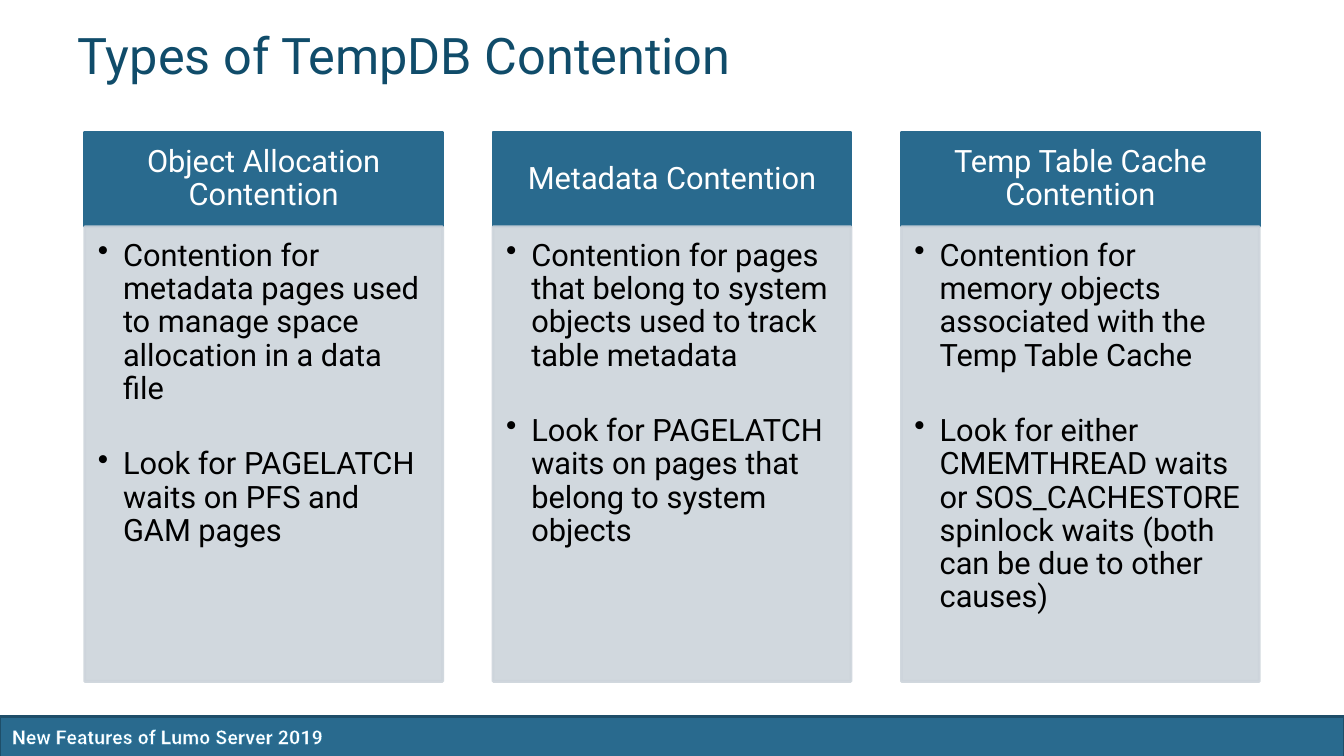
"""Build a slide comparing three types of TempDB contention."""
from lxml import etree
from pptx import Presentation, util as u
from pptx.dml.color import RGBColor
from pptx.enum import shapes, text
from pptx.oxml import ns

COLUMNS = [
    ("Object Allocation Contention",
     ["Contention for metadata pages used to manage space allocation in a data file",
      "Look for PAGELATCH waits on PFS and GAM pages"]),
    ("Metadata Contention",
     ["Contention for pages that belong to system objects used to track table metadata",
      "Look for PAGELATCH waits on pages that belong to system objects"]),
    ("Temp Table Cache Contention",
     ["Contention for memory objects associated with the Temp Table Cache",
      "Look for either CMEMTHREAD waits or SOS_CACHESTORE spinlock waits "
      "(both can be due to other causes)"]),
]


def color(value):
    return RGBColor.from_string(value)


class SlideBuilder:
    FONT = "Roboto"
    BLUE, NAVY, EDGE = "296A8E", "104C6A", "1E4E69"
    GRAY, WHITE, BLACK = "CDD4DB", "FFFFFF", "000000"
    OUTLINE = "1872A0"

    def __init__(self, deck):
        self.slide = deck.slides.add_slide(deck.slide_layouts[5])

    def style(self, para, size, ink, bold=False):
        font = para.font
        font.name, font.size, font.bold = self.FONT, u.Pt(size), bold
        font.color.rgb = color(ink)

    def place(self, shape, left, top, width, height):
        shape.left, shape.top = u.Inches(left), u.Inches(top)
        shape.width, shape.height = u.Inches(width), u.Inches(height)

    def frame(self, shape, anchor, insets):
        frame = shape.text_frame
        frame.word_wrap = True
        frame.vertical_anchor = anchor
        (frame.margin_left, frame.margin_top,
         frame.margin_right, frame.margin_bottom) = map(u.Inches, insets)
        return frame

    def title(self, words):
        title = self.slide.shapes.title
        self.place(title, 0.67, 0.3, 12, 1.25)
        frame = self.frame(title, text.MSO_ANCHOR.TOP, (0.1, 0.05, 0.1, 0.05))
        frame.auto_size = text.MSO_AUTO_SIZE.NONE
        para = frame.paragraphs[0]
        para.text = words
        para.alignment = text.PP_ALIGN.LEFT
        para.line_spacing = u.Pt(35)
        self.style(para, 36, self.NAVY)

    def box(self, left, top, width, height, fill, line, opacity=100):
        box = self.slide.shapes.add_shape(
            shapes.MSO_SHAPE.RECTANGLE, *map(u.Inches, (left, top, width, height)))
        box.shadow.inherit = False
        box.fill.solid()
        box.fill.fore_color.rgb = color(fill)
        box.line.color.rgb = color(line)
        box.line.width = u.Pt(2)
        if opacity < 100:
            for tint in box._element.spPr.iter(ns.qn("a:srgbClr")):
                etree.SubElement(tint, ns.qn("a:alpha"), val=str(opacity * 1000))
        return box

    def footer(self, words):
        self.box(0, 7.11, 13.33, 0.4, self.BLUE, self.EDGE)
        label = self.slide.shapes.add_textbox(
            *map(u.Inches, (0.02, 7.14, 6.06, 0.34)))
        frame = self.frame(label, text.MSO_ANCHOR.TOP, (0.1, 0.05, 0.1, 0.05))
        frame.auto_size = text.MSO_AUTO_SIZE.SHAPE_TO_FIT_TEXT
        para = frame.paragraphs[0]
        span = para.add_run()
        span.text = words
        self.style(para, 14, self.WHITE, bold=True)
        outline = etree.Element(ns.qn("a:ln"), w=str(u.Pt(0.8)))
        fill = etree.SubElement(outline, ns.qn("a:solidFill"))
        etree.SubElement(fill, ns.qn("a:srgbClr"), val=self.OUTLINE)
        span._r.get_or_add_rPr().insert(0, outline)

    def header(self, left, width, words):
        box = self.box(left, 1.31, width, 0.94, self.BLUE, self.BLUE)
        frame = self.frame(box, text.MSO_ANCHOR.MIDDLE, (0.17, 0.1, 0.17, 0.1))
        para = frame.paragraphs[0]
        para.text = words
        para.alignment = text.PP_ALIGN.CENTER
        para.line_spacing = 0.9
        self.style(para, 22, self.WHITE)

    def bullets(self, left, width, points):
        box = self.box(left, 2.25, width, 4.51, self.GRAY, self.GRAY, opacity=90)
        frame = self.frame(box, text.MSO_ANCHOR.TOP, (0.13, 0.13, 0.17, 0.19))
        for index, point in enumerate(points):
            para = frame.add_paragraph() if index else frame.paragraphs[0]
            para.text = point
            para.alignment = text.PP_ALIGN.LEFT
            para.line_spacing = 0.9
            para.space_before = u.Pt(30 if index else 0)
            props = para._p.get_or_add_pPr()
            props.set("marL", str(u.Inches(0.25)))
            props.set("indent", str(u.Inches(-0.25)))
            etree.SubElement(props, ns.qn("a:buChar"), char="•")
            self.style(para, 22, self.BLACK)


def main():
    deck = Presentation()
    deck.slide_width, deck.slide_height = u.Inches(13.33), u.Inches(7.5)
    builder = SlideBuilder(deck)
    builder.footer("New Features of Lumo Server 2019")
    builder.title("Types of TempDB Contention")
    first, pitch, width = 0.84, 4.05, 3.55
    for index, (heading, points) in enumerate(COLUMNS):
        left = first + index * pitch
        builder.header(left, width, heading)
        builder.bullets(left, width, points)
    deck.save("out.pptx")


if __name__ == "__main__":
    main()
